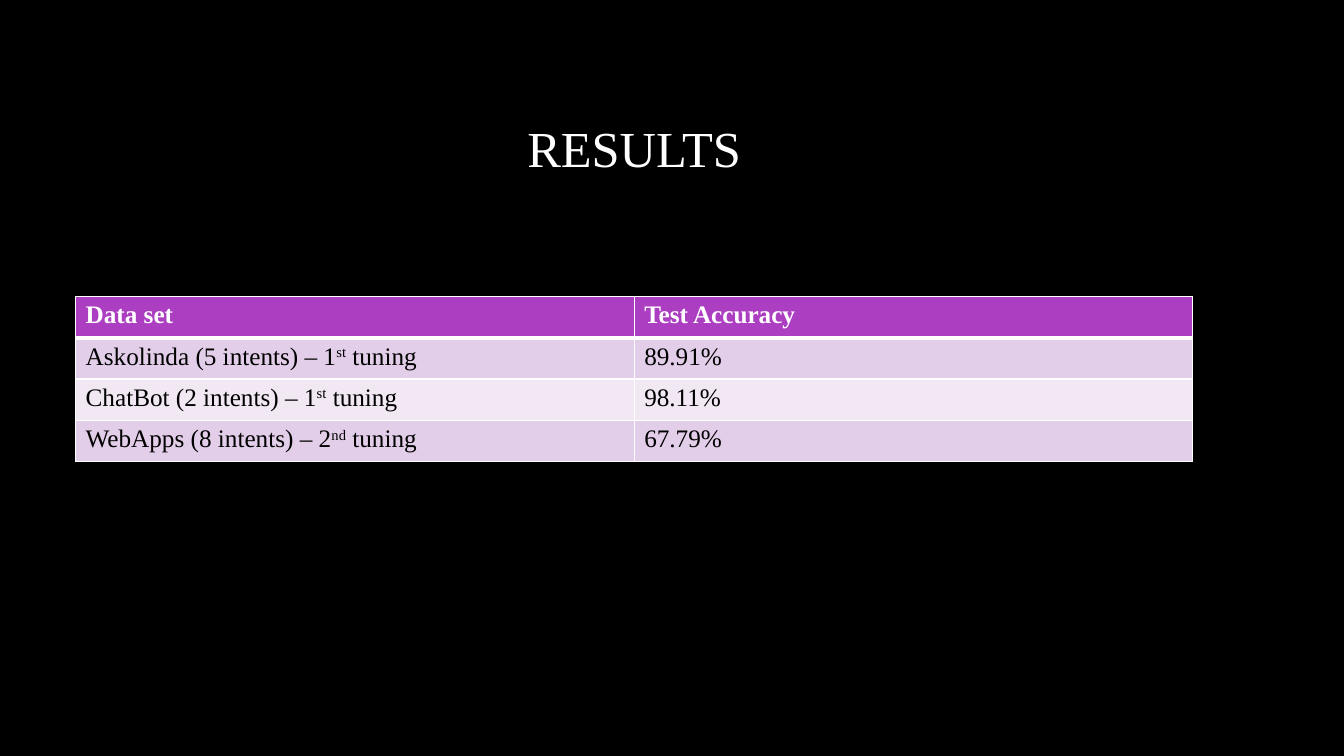
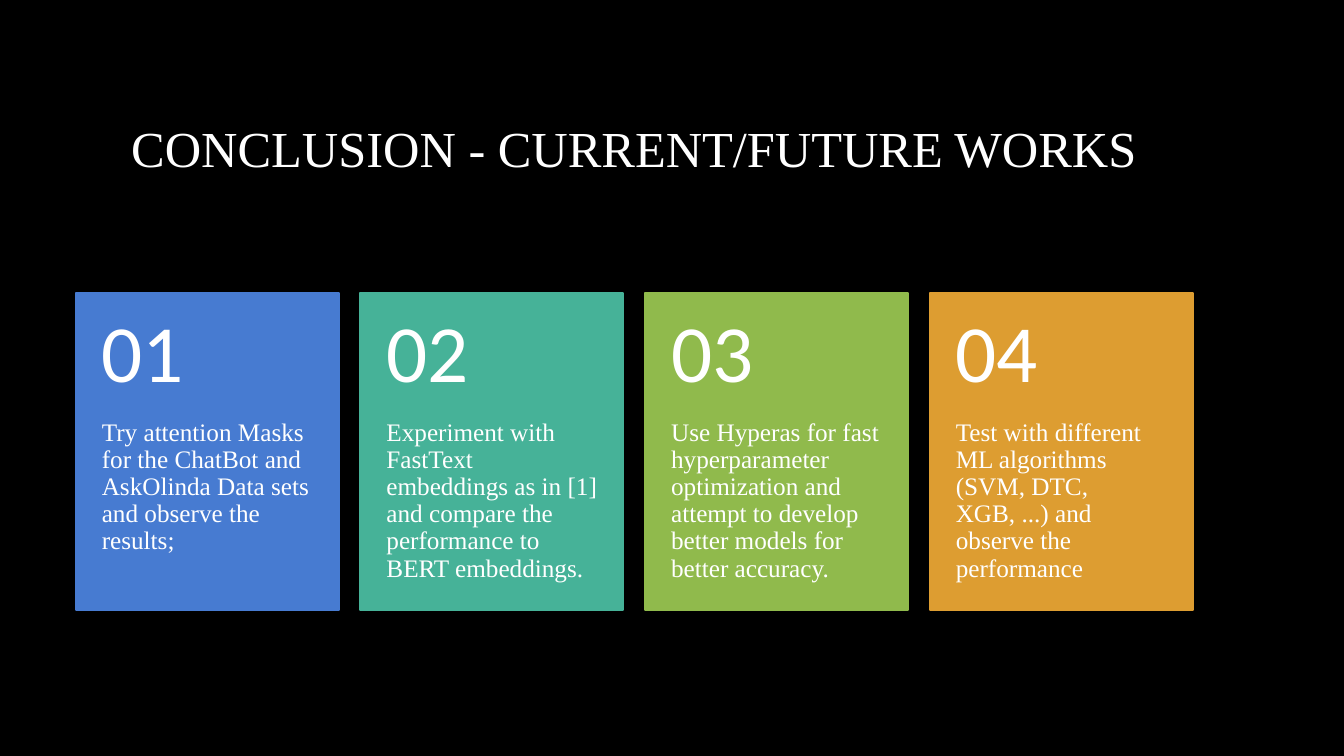
from pptx import Presentation
from pptx.dml.color import RGBColor
from pptx.enum import shapes, text
from pptx.oxml import parse_xml
from pptx.oxml.ns import nsdecls
from pptx.util import Inches, Pt

BLACK = RGBColor(0x00, 0x00, 0x00)
WHITE = RGBColor(0xFF, 0xFF, 0xFF)
PURPLE = RGBColor(0xAC, 0x3E, 0xC1)
LILAC = RGBColor(0xE3, 0xCE, 0xE9)
PALE = RGBColor(0xF1, 0xE8, 0xF4)
BLUE = RGBColor(0x47, 0x7B, 0xD1)
TEAL = RGBColor(0x46, 0xB2, 0x98)
GREEN = RGBColor(0x90, 0xBA, 0x4C)
AMBER = RGBColor(0xDD, 0x9D, 0x31)

SERIF, SANS = "Times New Roman", "Calibri"
LEFT, WIDTH = 0.75, 11.08

HEADS = ("Data set", "Test Accuracy")
SCORES = [
    (("Askolinda (5 intents) – 1", "st", " tuning"), "89.91%"),
    (("ChatBot (2 intents) – 1", "st", " tuning"), "98.11%"),
    (("WebApps (8 intents) – 2", "nd", " tuning"), "67.79%"),
]
CARDS = [
    (BLUE, "Try attention Masks for the ChatBot and AskOlinda Data sets "
           "and observe the results;"),
    (TEAL, "Experiment with FastText embeddings as in [1] and compare the "
           "performance to BERT embeddings."),
    (GREEN, "Use Hyperas for fast hyperparameter optimization and attempt "
            "to develop better models for better accuracy."),
    (AMBER, "Test with different ML algorithms (SVM, DTC, XGB, ...) and "
            "observe the performance"),
]


def style(run, size, face=SERIF, color=WHITE, bold=False):
    font = run.font
    font.size, font.name, font.bold = Pt(size), face, bold
    font.color.rgb = color


def add_text(slide, words, box, size, face=SERIF, pads=(0.1, 0.05, 0.1, 0.05),
             anchor=text.MSO_ANCHOR.MIDDLE):
    frame = slide.shapes.add_textbox(*map(Inches, box)).text_frame
    frame.word_wrap = True
    frame.vertical_anchor = anchor
    (frame.margin_left, frame.margin_top,
     frame.margin_right, frame.margin_bottom) = map(Inches, pads)
    para = frame.paragraphs[0]
    para.text = words
    style(para.runs[0], size, face)
    return para


def add_slide(deck, title):
    slide = deck.slides.add_slide(deck.slide_layouts[6])
    para = add_text(slide, title, (LEFT, 0.67, WIDTH, 1.59), 36)
    para.alignment = text.PP_ALIGN.CENTER
    return slide


def add_borders(cell, row):
    widths = {"L": 1, "R": 1, "T": 3 if row == 1 else 1,
              "B": 3 if row == 0 else 1}
    for side, width in widths.items():
        cell._tc.get_or_add_tcPr().append(parse_xml(
            f'<a:ln{side} {nsdecls("a")} w="{Pt(width)}"><a:solidFill>'
            f'<a:srgbClr val="{WHITE}"/></a:solidFill></a:ln{side}>'))


def fill_cell(cell, parts, row):
    para = cell.text_frame.paragraphs[0]
    for part in [parts] if isinstance(parts, str) else parts:
        run = para.add_run()
        run.text = part
        style(run, 18, color=BLACK if row else WHITE, bold=row == 0)
        if part in ("st", "nd"):
            run.font._element.set("baseline", "30000")
    add_borders(cell, row)
    cell.fill.solid()
    cell.fill.fore_color.rgb = (LILAC if row % 2 else PALE) if row else PURPLE


def add_results(deck):
    slide = add_slide(deck, "RESULTS")
    rows = [HEADS] + SCORES
    high = 0.41
    box = (LEFT, 2.94, WIDTH, high * len(rows))
    table = slide.shapes.add_table(
        len(rows), len(HEADS), *map(Inches, box)).table
    for r, row in enumerate(rows):
        table.rows[r].height = Inches(high)
        for c, parts in enumerate(row):
            fill_cell(table.cell(r, c), parts, r)


def add_works(deck):
    slide = add_slide(deck, "CONCLUSION - CURRENT/FUTURE WORKS")
    top, wide, high, head = 2.91, 2.61, 3.14, 1.25
    step = (WIDTH - wide) / (len(CARDS) - 1)
    for i, (color, words) in enumerate(CARDS):
        x = LEFT + i * step
        card = slide.shapes.add_shape(
            shapes.MSO_SHAPE.RECTANGLE, *map(Inches, (x, top, wide, high)))
        card.shadow.inherit = False
        card.fill.solid()
        card.fill.fore_color.rgb = card.line.color.rgb = color
        card.line.width = Pt(1.5)
        body = add_text(slide, words, (x, top + head, wide, high - head), 18,
                        pads=(0.26, 0, 0.26, 0.36),
                        anchor=text.MSO_ANCHOR.TOP)
        number = add_text(slide, f"{i + 1:02}", (x, top, wide, head), 58, SANS,
                          pads=(0.26, 0.18, 0.26, 0.18))
        body.line_spacing = number.line_spacing = 0.9


def main():
    deck = Presentation()
    deck.slide_width, deck.slide_height = Inches(13.33), Inches(7.5)
    back = deck.slide_master.background.fill
    back.solid()
    back.fore_color.rgb = BLACK
    add_results(deck)
    add_works(deck)
    deck.save("out.pptx")


if __name__ == "__main__":
    main()
